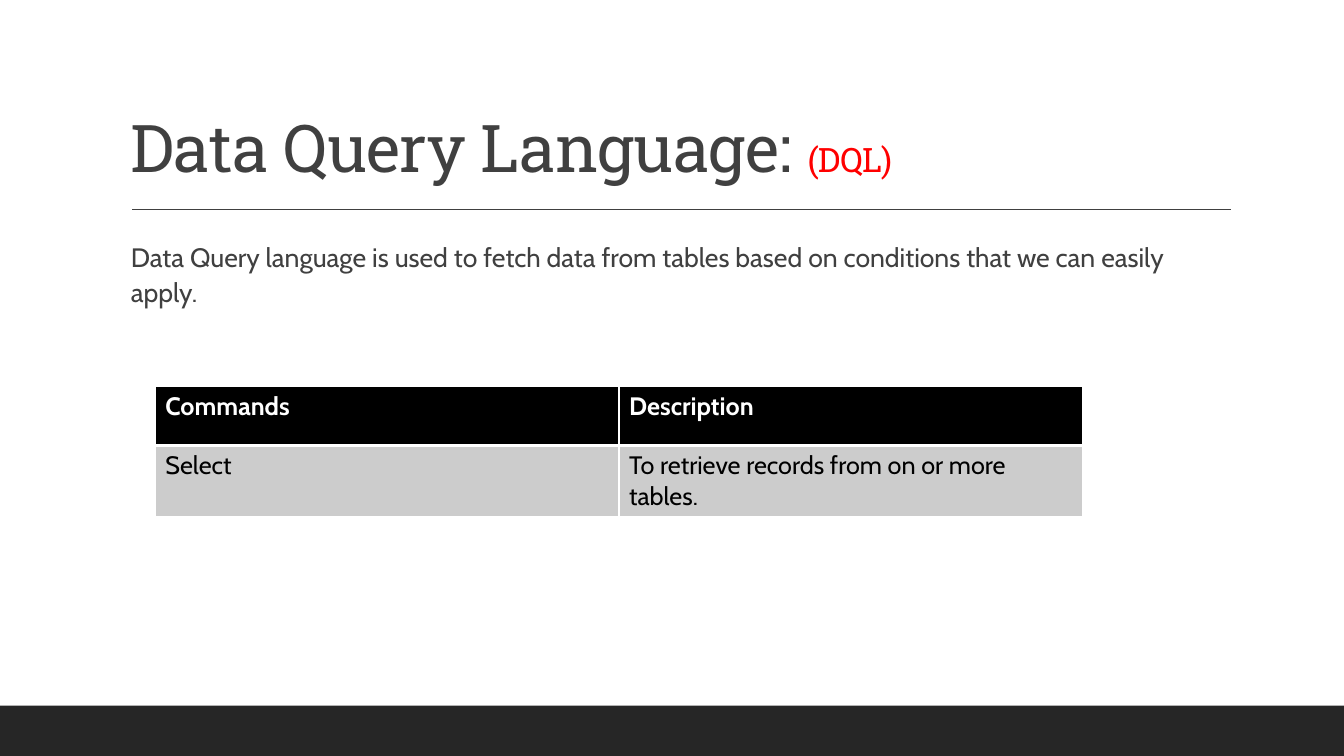
from lxml import etree
from pptx import Presentation
from pptx import util as u
from pptx.dml.color import RGBColor
from pptx.enum import shapes, text
from pptx.oxml.ns import qn

COLORS = {
    "dark": "262626", "gray": "404040", "red": "FF0000",
    "black": "000000", "white": "FFFFFF", "light": "CCCCCC",
}
HEAD, BODY = "Roboto Slab", "Cabin"


def rgb(name):
    return RGBColor.from_string(COLORS[name])


class Deck:
    """Holds the style and the current slide."""

    def __init__(self):
        self.prs = Presentation()
        self.prs.slide_width = u.Inches(13.33)
        self.prs.slide_height = u.Inches(7.5)
        self.slide = self.prs.slides.add_slide(self.prs.slide_layouts[6])
        self.shapes = self.slide.shapes

    def font(self, font, face, size, color, bold=False):
        font.name, font.size, font.bold = face, u.Pt(size), bold
        font.color.rgb = rgb(color)

    def bar(self, box, color):
        bar = self.shapes.add_shape(
            shapes.MSO_SHAPE.RECTANGLE, *map(u.Inches, box))
        bar.shadow.inherit = False
        bar.fill.solid()
        bar.fill.fore_color.rgb = rgb(color)
        bar.line.fill.background()

    def rule(self, left, right, top, color):
        ends = map(u.Inches, (left, top, right, top))
        line = self.shapes.add_connector(
            shapes.MSO_CONNECTOR.STRAIGHT, *ends)
        line.line.color.rgb = rgb(color)
        line.line.width = u.Pt(1)
        etree.SubElement(line._element.spPr, qn("a:effectLst"))

    def text(self, box, anchor, space):
        frame = self.shapes.add_textbox(*map(u.Inches, box)).text_frame
        frame.word_wrap = True
        frame.vertical_anchor = anchor
        para = frame.paragraphs[0]
        para.line_spacing = space
        return para

    def title(self, box, parts):
        para = self.text(box, text.MSO_ANCHOR.BOTTOM, 0.9)
        for words, size, color in parts:
            run = para.add_run()
            run.text = words
            self.font(run.font, HEAD, size, color)
            run._r.get_or_add_rPr().set("spc", "-50")

    def body(self, box, words):
        para = self.text(box, text.MSO_ANCHOR.TOP, 1.1)
        para.text = words
        para.space_before, para.space_after = u.Pt(12), u.Pt(2)
        self.font(para.font, BODY, 19, "gray")

    def edges(self, cell, widths):
        props = cell._tc.get_or_add_tcPr()
        for spot, (side, width) in enumerate(widths.items()):
            line = etree.Element(qn(f"a:ln{side}"), w=str(u.Pt(width)))
            fill = etree.SubElement(line, qn("a:solidFill"))
            etree.SubElement(fill, qn("a:srgbClr"), val=COLORS["white"])
            props.insert(spot, line)

    def table(self, box, heights, rows):
        grid = self.shapes.add_table(
            len(rows), len(rows[0]), *map(u.Inches, box)).table
        for r, row in enumerate(rows):
            grid.rows[r].height = u.Inches(heights[r])
            head = r == 0
            for c, words in enumerate(row):
                cell = grid.cell(r, c)
                cell.text = words
                cell.fill.solid()
                cell.fill.fore_color.rgb = rgb("black" if head else "light")
                self.font(cell.text_frame.paragraphs[0].font, BODY, 18,
                          "white" if head else "black", head)
                self.edges(cell, {"L": 1, "R": 1, "T": 1 if head else 3,
                                  "B": 3 if head else 1})


def main():
    deck = Deck()
    deck.bar((0, 7, 13.33, 0.5), "dark")
    deck.rule(1.31, 12.21, 2.08, "gray")
    deck.title((1.2, 0.31, 11, 1.59), [
        ("Data Query Language: ", 47, "gray"), ("(DQL)", 24, "red")])
    deck.body((1.2, 2.31, 11, 4.11),
              "Data Query language is used to fetch data from tables "
              "based on conditions that we can easily apply.")
    deck.table((1.54, 3.83, 9.2, 1.29), (0.59, 0.7), [
        ("Commands", "Description"),
        ("Select", "To retrieve records from on or more tables.")])
    deck.prs.save("out.pptx")


if __name__ == "__main__":
    main()
